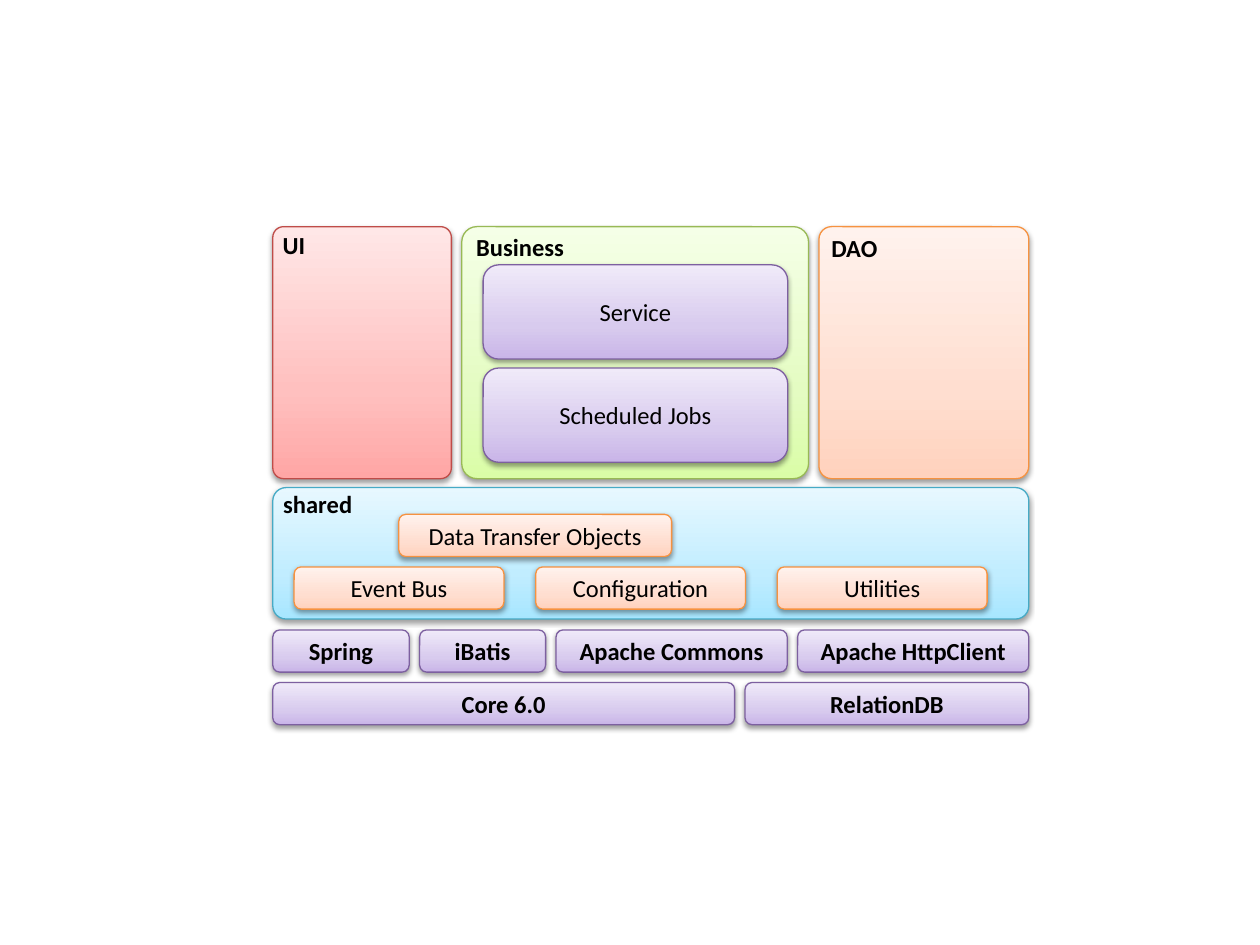
from dataclasses import dataclass

from lxml import etree
from pptx import Presentation
from pptx.dml.color import RGBColor
from pptx.enum.shapes import MSO_SHAPE
from pptx.enum.text import MSO_ANCHOR, MSO_AUTO_SIZE, PP_ALIGN
from pptx.oxml.ns import qn
from pptx.util import Cm, Pt

ROUNDED = MSO_SHAPE.ROUNDED_RECTANGLE
MIDDLE = MSO_ANCHOR.MIDDLE
LEFT, CENTER = PP_ALIGN.LEFT, PP_ALIGN.CENTER
FIT_SHAPE = MSO_AUTO_SIZE.SHAPE_TO_FIT_TEXT


@dataclass(frozen=True)
class Tone:
    line: str
    dark: str
    middle: str
    light: str


@dataclass(frozen=True)
class Theme:
    font: str = "Calibri"
    text_size: float = 14
    line_width: float = 0.75
    text: str = "000000"
    shadow: str = "000000"
    red: Tone = Tone("BF4C48", "FFA6A5", "FFC0BF", "FFE7E7")
    green: Tone = Tone("98B955", "DAFDA7", "E4FCC2", "F5FFE7")
    orange: Tone = Tone("F69240", "FFD2BD", "FFDED0", "FFF2ED")
    blue: Tone = Tone("46AAC5", "A7E6FF", "C1EDFF", "E7F8FF")
    purple: Tone = Tone("7D60A0", "C9B5E8", "D8CBEE", "F0EAF9")


THEME = Theme()


def write_text(frame, text, bold=False, align=LEFT):
    paragraph = frame.paragraphs[0]
    paragraph.alignment = align
    run = paragraph.add_run()
    run.text = text
    run.font.name = THEME.font
    run.font.size = Pt(THEME.text_size)
    run.font.bold = bold
    run.font.color.rgb = RGBColor.from_string(THEME.text)


def add_element(parent, tag, **attributes):
    return etree.SubElement(parent, qn(tag), attributes)


class Diagram:
    def __init__(self, slide, theme):
        self.slide = slide
        self.theme = theme

    def panel(self, left, top, width, height, tone, corner=None):
        """Rounded rectangle with a vertical gradient and a soft shadow."""
        panel = self.slide.shapes.add_shape(
            ROUNDED, Cm(left), Cm(top), Cm(width), Cm(height))
        if corner is not None:
            panel.adjustments[0] = corner
        panel.line.color.rgb = RGBColor.from_string(tone.line)
        panel.line.width = Pt(self.theme.line_width)
        self.apply_gradient(panel, tone)
        self.apply_shadow(panel)
        return panel

    def apply_gradient(self, panel, tone):
        panel.fill.gradient()
        panel.fill.gradient_angle = 90
        stops = panel.element.spPr.find(qn("a:gradFill")).find(qn("a:gsLst"))
        for stop in list(stops):
            stops.remove(stop)
        for percent, color in ((0, tone.dark), (35, tone.middle), (100, tone.light)):
            stop = add_element(stops, "a:gs", pos=str(percent * 1000))
            add_element(stop, "a:srgbClr", val=color)

    def apply_shadow(self, panel):
        panel.shadow.inherit = False
        effects = panel.element.spPr.find(qn("a:effectLst"))
        shadow = add_element(effects, "a:outerShdw", blurRad=str(Pt(3.1)),
                             dist=str(Pt(1.6)), dir="5400000", rotWithShape="0")
        color = add_element(shadow, "a:srgbClr", val=self.theme.shadow)
        add_element(color, "a:alpha", val="38000")

    def box(self, text, left, top, width, height, tone, bold=False):
        frame = self.panel(left, top, width, height, tone).text_frame
        frame.vertical_anchor = MIDDLE
        frame.word_wrap = True
        frame.margin_left = frame.margin_right = 0
        write_text(frame, text, bold=bold, align=CENTER)

    def row(self, items, left, top, height, gap, tone, bold=False):
        """Boxes side by side, from (text, width) pairs."""
        for text, width in items:
            self.box(text, left, top, width, height, tone, bold=bold)
            left += width + gap

    def label(self, text, left, top, width):
        frame = self.slide.shapes.add_textbox(
            Cm(left), Cm(top), Cm(width), Cm(0.86)).text_frame
        frame.word_wrap = True
        frame.auto_size = FIT_SHAPE
        write_text(frame, text, bold=True)


def main():
    deck = Presentation()
    deck.slide_width, deck.slide_height = Cm(25.4), Cm(19.05)
    diagram = Diagram(deck.slides.add_slide(deck.slide_layouts[6]), THEME)

    left, total_width = 5.5, 15.24
    gap, box_height = 0.21, 0.85

    # Application layers
    layer_left, layer_top = left, 4.57
    layers = (("UI", 3.6, THEME.red, 0.06, -0.05, -0.05),
              ("Business", 6.99, THEME.green, 0.06, 0.04, -0.02),
              ("DAO", 4.23, THEME.orange, 0.06, 0, 0))
    for name, width, tone, corner, shift_x, shift_y in layers:
        diagram.panel(layer_left, layer_top, width, 5.08, tone, corner)
        diagram.label(name, layer_left + shift_x, layer_top + shift_y, 3)
        layer_left += width + gap
    for index, name in enumerate(("Service", "Scheduled Jobs")):
        diagram.box(name, 9.74, 5.34 + index * 2.08, 6.14, 1.9, THEME.purple)

    # Shared layer
    diagram.panel(left, 9.83, total_width, 2.65, THEME.blue, 0.1)
    diagram.label("shared", left - 0.04, 9.73, 3.39)
    diagram.box("Data Transfer Objects", 8.04, 10.37, 5.5, box_height, THEME.orange)
    utilities = [(name, 4.23) for name in ("Event Bus", "Configuration", "Utilities")]
    diagram.row(utilities, 5.93, 11.43, box_height, 0.64, THEME.orange)

    # Libraries and platform
    libraries = (("Spring", 2.75), ("iBatis", 2.54),
                 ("Apache Commons", 4.66), ("Apache HttpClient", 4.66))
    platform = (("Core 6.0", 9.31), ("RelationDB", 5.72))
    for index, items in enumerate((libraries, platform)):
        top = 12.7 + index * (box_height + gap)
        diagram.row(items, left, top, box_height, gap, THEME.purple, bold=True)

    deck.save("out.pptx")


if __name__ == "__main__":
    main()
